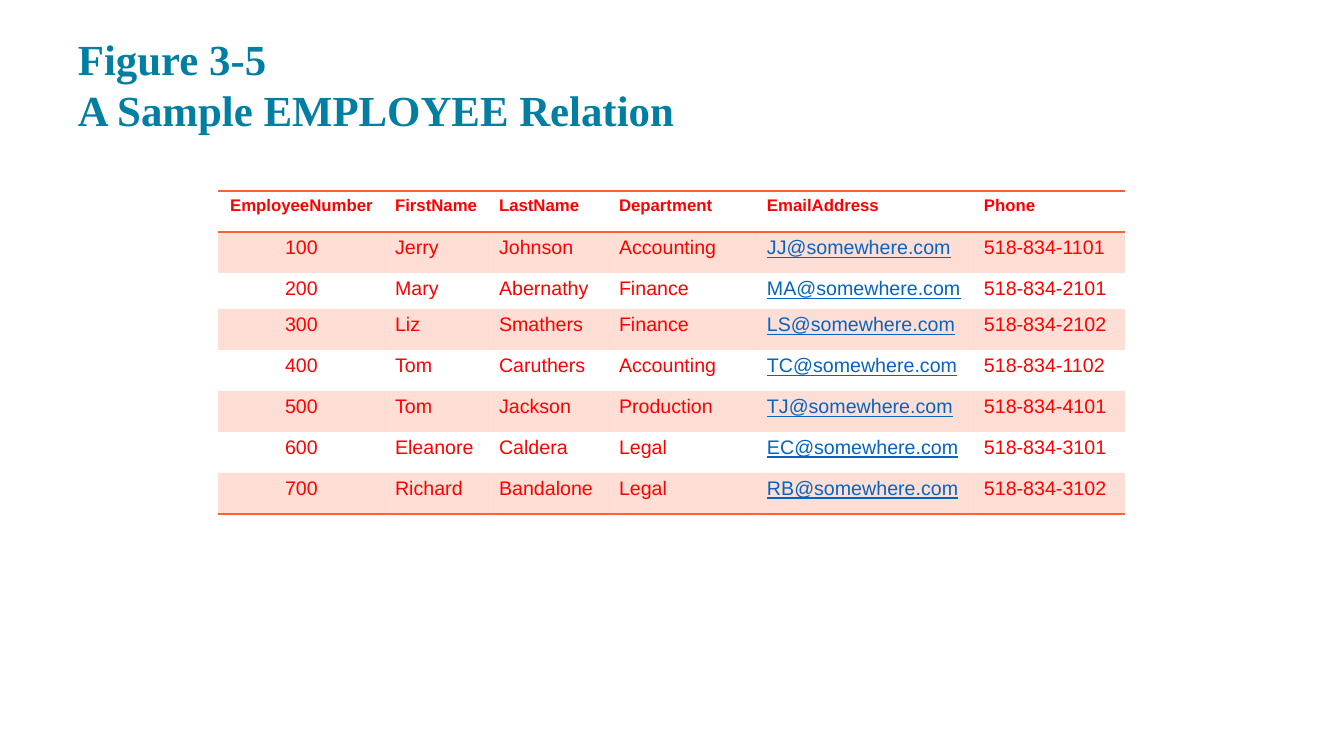
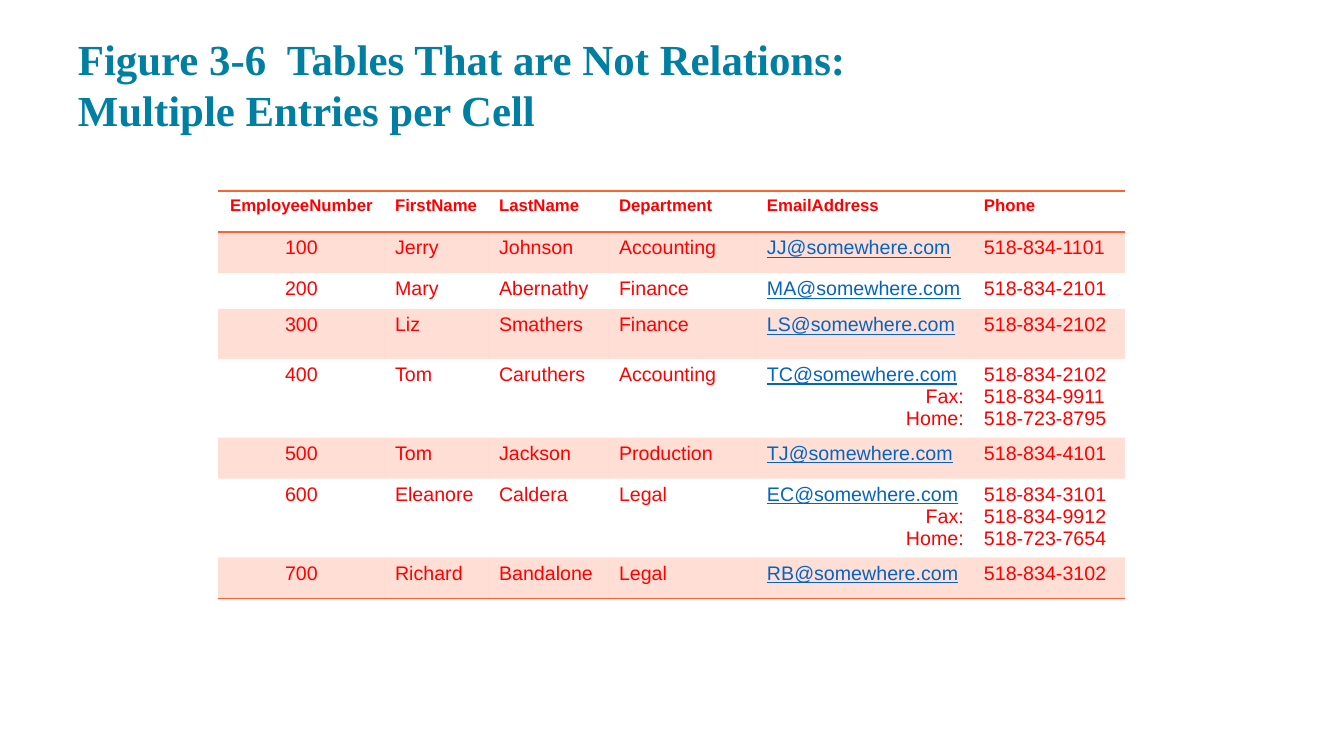
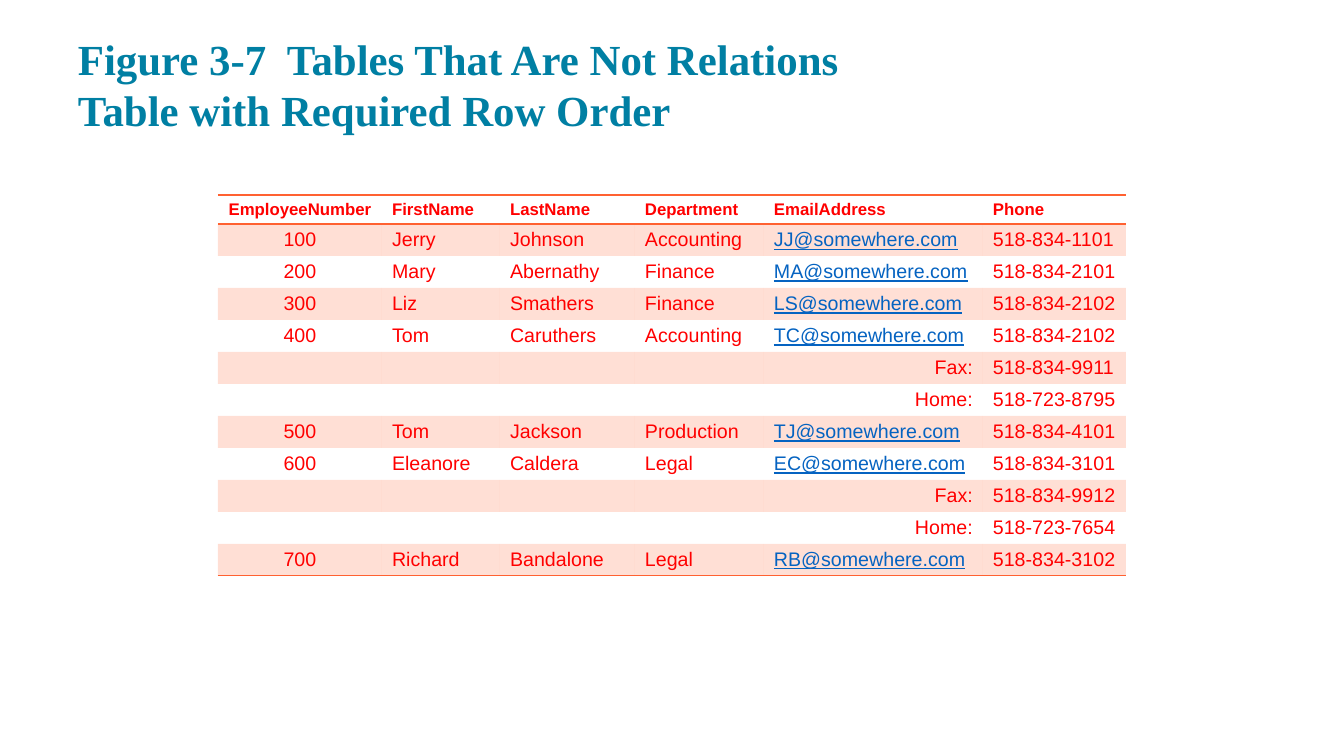
from dataclasses import dataclass

from lxml.etree import SubElement
from pptx import Presentation
from pptx.dml.color import RGBColor
from pptx.enum.text import MSO_ANCHOR as ANCHOR, PP_ALIGN as ALIGN
from pptx.oxml import parse_xml
from pptx.oxml.ns import nsdecls, qn
from pptx.util import Emu, Pt

HEADER = ("EmployeeNumber", "FirstName", "LastName", "Department", "EmailAddress", "Phone")
EMPLOYEES = [
    ("100", "Jerry", "Johnson", "Accounting", "JJ@somewhere.com", "518-834-1101"),
    ("200", "Mary", "Abernathy", "Finance", "MA@somewhere.com", "518-834-2101"),
    ("300", "Liz", "Smathers", "Finance", "LS@somewhere.com", "518-834-2102"),
    ("400", "Tom", "Caruthers", "Accounting", "TC@somewhere.com", "518-834-2102"),
    ("500", "Tom", "Jackson", "Production", "TJ@somewhere.com", "518-834-4101"),
    ("600", "Eleanore", "Caldera", "Legal", "EC@somewhere.com", "518-834-3101"),
    ("700", "Richard", "Bandalone", "Legal", "RB@somewhere.com", "518-834-3102"),
]
OTHER_PHONES = {
    "400": [("Fax:", "518-834-9911"), ("Home:", "518-723-8795")],
    "600": [("Fax:", "518-834-9912"), ("Home:", "518-723-7654")],
}
RELATION_PHONES = {"400": "518-834-1102"}


def relation_rows():
    return [(*e[:5], RELATION_PHONES.get(e[0], e[5])) for e in EMPLOYEES]


def multiple_entry_rows():
    """Other phones share the employee's own cells, one line each."""
    rows = []
    for *start, email, phone in EMPLOYEES:
        lines = [(email, phone), *OTHER_PHONES.get(start[0], [])]
        rows.append((*start, *("\n".join(column) for column in zip(*lines))))
    return rows


def ordered_rows():
    """Other phones follow their employee as rows of their own."""
    rows = []
    for e in EMPLOYEES:
        rows.append(e)
        rows += [("", "", "", "", *other) for other in OTHER_PHONES.get(e[0], [])]
    return rows


WIDE_PHONE = (167, 104, 120, 148, 217, 151)
WIDE_NAMES = (164, 118, 135, 129, 219, 143)
SLIDES = [
    dict(title="Figure 3-5\nA Sample EMPLOYEE Relation", rows=relation_rows(),
         top=191, widths=WIDE_PHONE, heights=(41, 41, 36, 41, 41, 41, 41, 41)),
    dict(title="Figure 3-6  Tables That are Not Relations:\nMultiple Entries per Cell",
         rows=multiple_entry_rows(),
         top=191, widths=WIDE_PHONE, heights=(41, 41, 36, 50, 76, 41, 76, 41)),
    dict(title="Figure 3-7  Tables That Are Not Relations\nTable with Required Row Order",
         rows=ordered_rows(),
         top=195, widths=WIDE_NAMES, heights=(29, *[32] * 11)),
]
PX_PER_INCH = 100.8
SLIDE_SIZE = (1344, 756)
TABLE_LEFT = 218
CELL_BOTTOM_INSET = 3
TITLE_BOX = (68, 24, 1210, 121)
TITLE_INSET = 10
NO_STYLE = "{2D5ABB26-0587-4C30-8999-92F81FD0307C}"


@dataclass(frozen=True)
class Theme:
    title: str = "007FA3"
    text: str = "FF0000"
    link: str = "0563C1"
    accent: str = "FF6131"
    band_alpha: int = 20
    title_font: str = "Times New Roman"
    body_font: str = "Arial"
    title_size: float = 30.6
    header_size: int = 12
    body_size: int = 14
    rule: int = 1


T = Theme()


def px(n):
    return Emu(round(n * 914400 / PX_PER_INCH))


def write(p, text, *, size, color=T.text, font=T.body_font, bold=False,
          underline=False, align=ALIGN.LEFT):
    """Fill paragraph p; a newline in text becomes a line break."""
    p.alignment = align
    if not text:
        p._p.get_or_add_endParaRPr().set("sz", str(size * 100))
    for i, line in enumerate(text.split("\n") if text else []):
        if i:
            p.add_line_break()
        r = p.add_run()
        r.text = line
        f = r.font
        f.name, f.size, f.bold, f.underline = font, Pt(size), bold, underline
        f.color.rgb = RGBColor.from_string(color)


def add_rule(cell, side):
    """Draw a line on one side of a cell, "T" or "B"."""
    ln = parse_xml(
        f'<a:ln{side} {nsdecls("a")} w="{Pt(T.rule)}"><a:solidFill>'
        f'<a:srgbClr val="{T.accent}"/></a:solidFill></a:ln{side}>')
    cell._tc.get_or_add_tcPr().insert(0, ln)


def fill_cell(cell, banded):
    if not banded:
        cell.fill.background()
        return
    cell.fill.solid()
    cell.fill.fore_color.rgb = RGBColor.from_string(T.accent)
    color = cell._tc.tcPr.find(".//" + qn("a:srgbClr"))
    SubElement(color, qn("a:alpha")).set("val", str(T.band_alpha * 1000))


def write_cell(cell, text, header, first_column):
    cell.margin_bottom = px(CELL_BOTTOM_INSET)
    tf = cell.text_frame
    for i, line in enumerate(text.split("\n")):
        p = tf.add_paragraph() if i else tf.paragraphs[0]
        is_link = "@" in line
        align = (ALIGN.CENTER if first_column else
                 ALIGN.RIGHT if line.endswith(":") else ALIGN.LEFT)
        write(p, line, size=T.header_size if header else T.body_size, bold=header,
              color=T.link if is_link else T.text, underline=is_link, align=align)


def add_title(s, text):
    tf = s.shapes.add_textbox(*map(px, TITLE_BOX)).text_frame
    tf.word_wrap = True
    tf.vertical_anchor = ANCHOR.BOTTOM
    tf.margin_left = tf.margin_right = tf.margin_top = tf.margin_bottom = px(TITLE_INSET)
    write(tf.paragraphs[0], text, size=T.title_size, color=T.title,
          font=T.title_font, bold=True)


def add_employee_table(s, rows, top, widths, heights):
    rows = [HEADER, *rows]
    table = s.shapes.add_table(len(rows), len(widths), px(TABLE_LEFT), px(top),
                               px(sum(widths)), px(sum(heights))).table
    table._tbl.tblPr.find(qn("a:tableStyleId")).text = NO_STYLE
    table.horz_banding = False
    for column, width in zip(table.columns, widths):
        column.width = px(width)
    for r, (row, height) in enumerate(zip(rows, heights)):
        table.rows[r].height = px(height)
        for c, text in enumerate(row):
            cell = table.cell(r, c)
            write_cell(cell, text, header=r == 0, first_column=c == 0)
            fill_cell(cell, banded=r % 2 == 1)
            if r in (0, len(rows) - 1):
                add_rule(cell, "B")
            if r == 0:
                add_rule(cell, "T")


def main():
    prs = Presentation()
    prs.slide_width, prs.slide_height = map(px, SLIDE_SIZE)
    for content in SLIDES:
        s = prs.slides.add_slide(prs.slide_layouts[6])
        add_title(s, content["title"])
        add_employee_table(s, content["rows"], content["top"],
                           content["widths"], content["heights"])
    prs.save("out.pptx")


if __name__ == "__main__":
    main()
